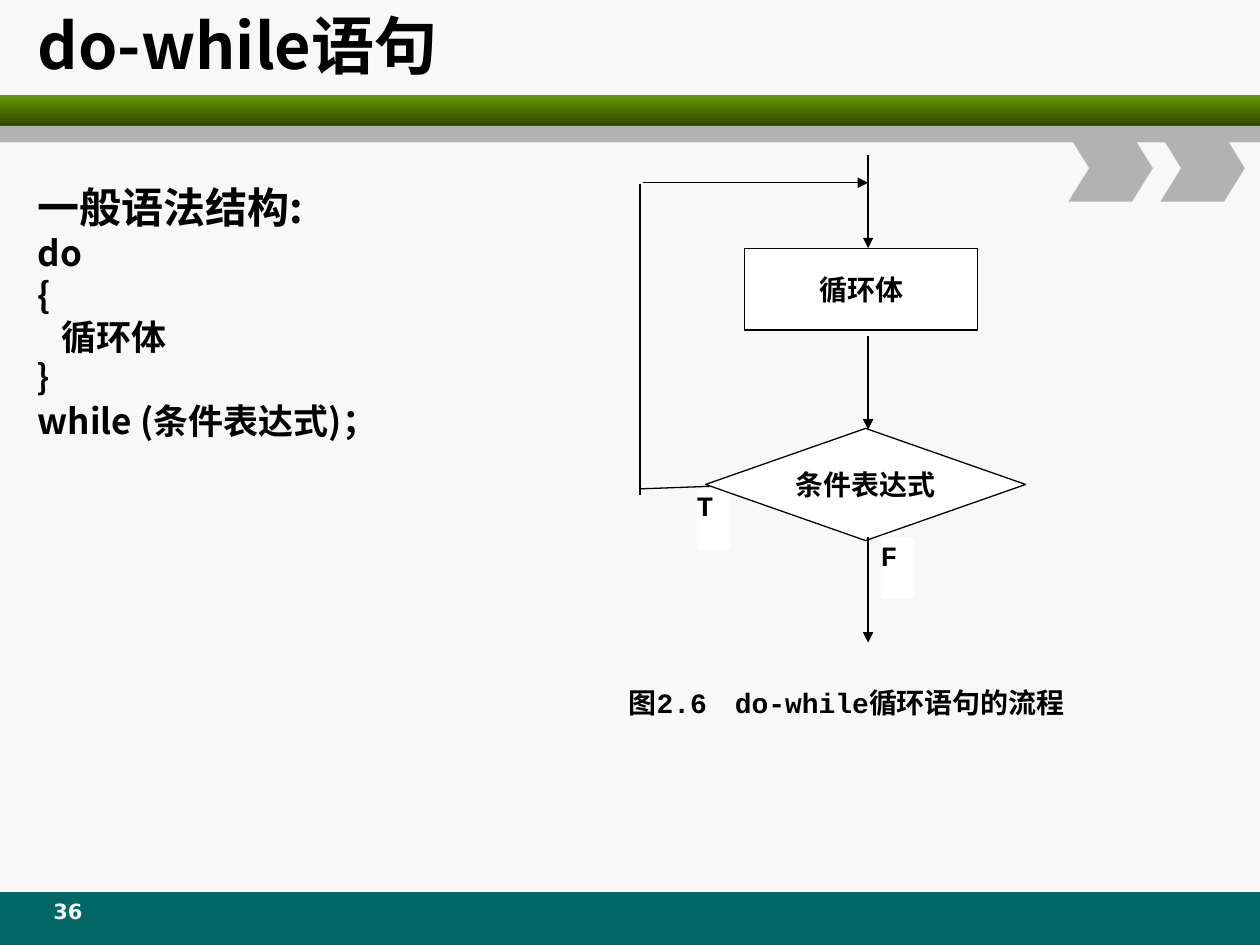
from lxml import etree
from pptx import Presentation
from pptx import util as u
from pptx.dml.color import RGBColor
from pptx.enum import shapes, text
from pptx.oxml.ns import qn

Inches, Pt = u.Inches, u.Pt
CJK, MONO = "Noto Sans CJK SC", "Courier New"
BLACK, WHITE, GREY, PALE = "000000", "FFFFFF", "B2B2B2", "F8F8F8"
CENTER = text.PP_ALIGN.CENTER
TOP, MIDDLE = text.MSO_ANCHOR.TOP, text.MSO_ANCHOR.MIDDLE
RECT = shapes.MSO_SHAPE.RECTANGLE


def colour(value):
    return RGBColor.from_string(value)


def add_span(para, words, size, font=CJK, ink=BLACK):
    span = para.add_run()
    span.text = words
    span.font.size, span.font.name, span.font.bold = Pt(size), font, True
    span.font.color.rgb = colour(ink)
    east_asian = etree.SubElement(span._r.get_or_add_rPr(), qn("a:ea"))
    east_asian.set("typeface", CJK)


def set_frame(box, anchor=TOP, margins=(0.1, 0.05)):
    frame = box.text_frame
    frame.word_wrap = True
    frame.auto_size = text.MSO_AUTO_SIZE.NONE
    frame.vertical_anchor = anchor
    frame.margin_left = frame.margin_right = Inches(margins[0])
    frame.margin_top = frame.margin_bottom = Inches(margins[1])
    return frame


def add_panel(page, kind, area, fill, line=None):
    panel = page.shapes.add_shape(kind, *map(Inches, area))
    panel.shadow.inherit = False
    panel.fill.solid()
    panel.fill.fore_color.rgb = colour(fill)
    if line:
        panel.line.color.rgb = colour(line)
        panel.line.width = Pt(0.75)
    else:
        panel.line.fill.background()
    return panel


def add_line(page, start, end, arrow=True):
    line = page.shapes.add_connector(
        shapes.MSO_CONNECTOR.STRAIGHT, *map(Inches, (*start, *end)))
    line.line.color.rgb = colour(BLACK)
    line.line.width = Pt(0.75)
    if arrow:
        head = etree.SubElement(line.line._get_or_add_ln(), qn("a:tailEnd"))
        head.set("type", "triangle")
    etree.SubElement(line._element.spPr, qn("a:effectLst"))


def add_decoration(page, left, top, width, height):
    # Footer band
    add_panel(page, RECT, (left, top + height - 0.42, width, 0.42), "006666")
    # Green gradient band over a grey strip
    band = add_panel(page, RECT, (left, top + 0.75, width, 0.25), "669900")
    band.fill.gradient()
    band.fill.gradient_angle = 270
    for stop, (position, value) in zip(band.fill.gradient_stops,
                                       ((0, "669900"), (1, "2F4700"))):
        stop.position = position
        stop.color.rgb = colour(value)
    add_panel(page, RECT, (left, top + 1, width, 0.13), GREY)
    # Chevrons
    for index in range(2):
        area = (left + 8.48 + 0.73 * index, top + 1.07, 0.67, 0.53)
        chevron = add_panel(page, shapes.MSO_SHAPE.CHEVRON, area, GREY)
        chevron.adjustments[0] = 0.31


def add_page_number(page, *area):
    box = page.shapes.add_textbox(*map(Inches, area))
    para = set_frame(box).paragraphs[0]
    para.alignment = CENTER
    add_span(para, "36", 12, "DejaVu Sans", PALE)


def add_title(page, *area):
    title = page.shapes.title
    title.left, title.top, title.width, title.height = map(Inches, area)
    para = set_frame(title, MIDDLE).paragraphs[0]
    para.alignment = text.PP_ALIGN.LEFT
    add_span(para, "do-while语句", 36)


def add_syntax(page, *area):
    frame = set_frame(page.shapes.add_textbox(*map(Inches, area)))
    lines = ["一般语法结构:", "do", "{", "   循环体", "｝", "while (条件表达式)；"]
    for index, words in enumerate(lines):
        para = frame.add_paragraph() if index else frame.paragraphs[0]
        size = 20 if index else 24
        para.line_spacing = Pt(size * 1.2)
        add_span(para, words, size)


def add_flowchart(page, left, top, width, height):
    def label(box, words, anchor=TOP, align=CENTER):
        para = set_frame(box, anchor, (0, 0)).paragraphs[0]
        para.alignment = align
        add_span(para, words, 16, MONO)

    # Branch labels
    for words, x, y in (("F", 2.7, 3.04), ("T", 1.24, 2.65)):
        tag = add_panel(page, RECT, (left + x, top + y, 0.27, 0.48), WHITE)
        label(tag, words, align=text.PP_ALIGN.LEFT)

    # Caption along the bottom
    caption = page.shapes.add_textbox(
        *map(Inches, (left, top + height - 0.5, width, 0.5)))
    label(caption, "图2.6\u3000do-while循环语句的流程".replace("\u3000", "　"))

    # Condition and loop body
    for kind, words, x, y, w, h in (
            (shapes.MSO_SHAPE.FLOWCHART_DECISION, "条件表达式", 1.31, 2.17, 2.54, 0.89),
            (RECT, "循环体", 1.62, 0.74, 1.85, 0.65)):
        node = add_panel(page, kind, (left + x, top + y, w, h), WHITE, BLACK)
        label(node, words, MIDDLE)

    # Downward flow
    stem, back = left + 2.6, left + 0.79
    for start, end in ((0, 0.74), (1.44, 2.18), (3.03, 3.87)):
        add_line(page, (stem, top + start), (stem, top + end))

    # Return path
    add_line(page, (back + 0.02, top + 0.22), (stem, top + 0.22))
    add_line(page, (back, top + 0.23), (back, top + 2.7), arrow=False)
    add_line(page, (back, top + 2.65), (back + 0.55, top + 2.63), arrow=False)


def main():
    deck = Presentation()
    deck.slide_width, deck.slide_height = Inches(10), Inches(7.5)
    page = deck.slides.add_slide(deck.slide_layouts[5])
    page.background.fill.solid()
    page.background.fill.fore_color.rgb = colour(PALE)

    add_decoration(page, 0, 0, 10, 7.5)
    add_page_number(page, 0.25, 7.08, 0.58, 0.33)
    add_title(page, 0.2, 0, 9, 0.7)
    add_syntax(page, 0.2, 1.39, 7.8, 2.17)
    add_flowchart(page, 4.29, 1.23, 4.86, 4.71)
    deck.save("out.pptx")


if __name__ == "__main__":
    main()
